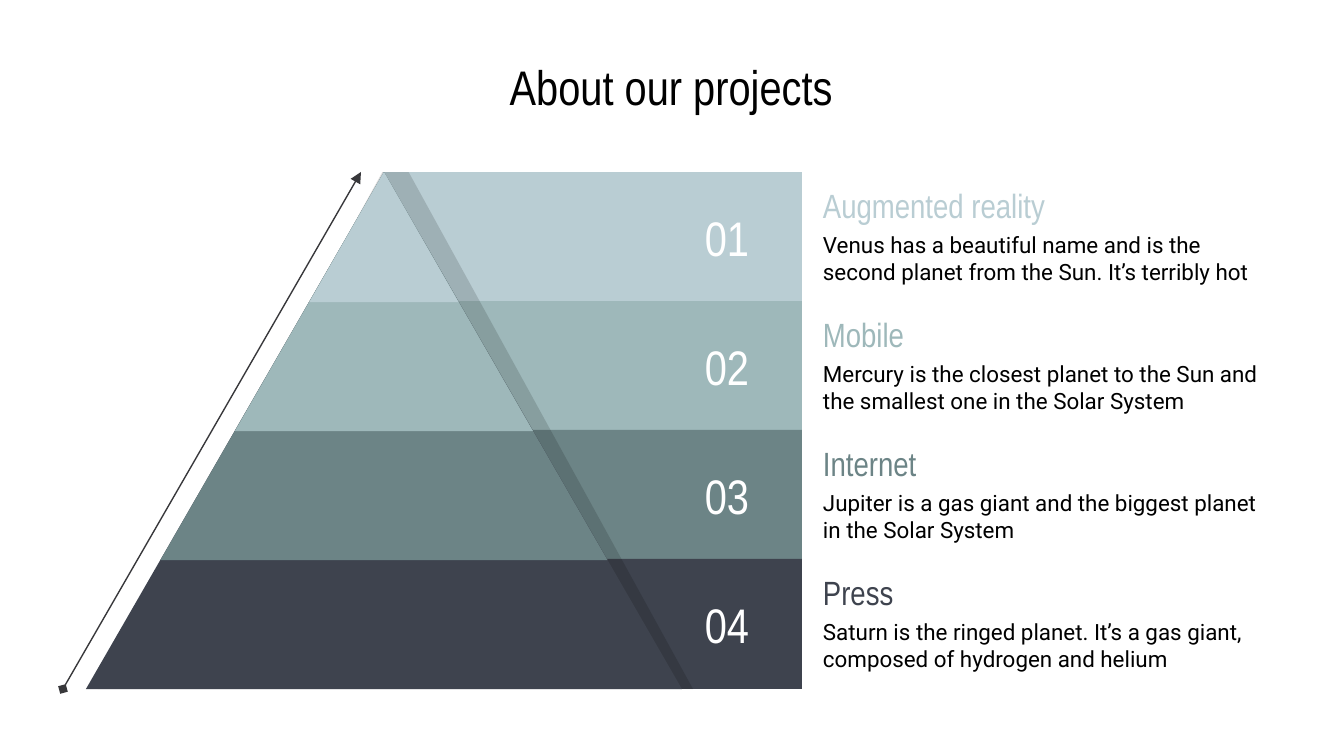
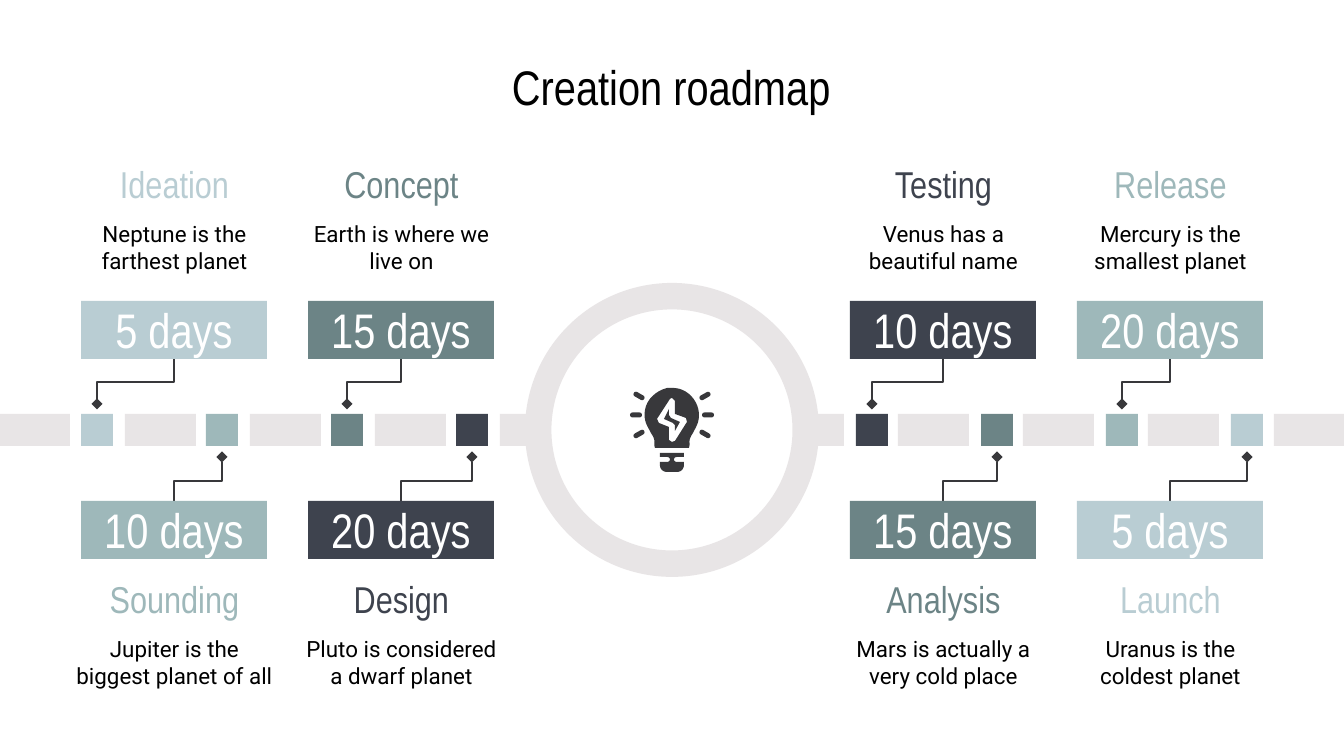
from lxml.etree import SubElement
from pptx import Presentation
from pptx.dml.color import RGBColor
from pptx.enum.shapes import MSO_CONNECTOR, MSO_SHAPE
from pptx.enum.text import MSO_ANCHOR, MSO_AUTO_SIZE, PP_ALIGN
from pptx.oxml.ns import qn
from pptx.util import Emu, Pt

SLIDE_WIDTH, SLIDE_HEIGHT = 1344, 756
EMU_PER_PX = 9144000 / SLIDE_WIDTH
INSET = 13

MIST = RGBColor(0xB9, 0xCD, 0xD3)
SAGE = RGBColor(0x9E, 0xB8, 0xBA)
TEAL = RGBColor(0x6C, 0x84, 0x86)
SLATE = RGBColor(0x3E, 0x43, 0x4E)
TRACK = RGBColor(0xE8, 0xE5, 0xE6)
INK = RGBColor(0x38, 0x38, 0x3B)
BLACK = RGBColor(0, 0, 0)
WHITE = RGBColor(0xFF, 0xFF, 0xFF)

HEADING_FONT, BODY_FONT = "Arial Narrow", "Roboto"

PROJECTS = [
    ("Augmented reality", MIST,
     "Venus has a beautiful name and is the\nsecond planet from the Sun. It’s terribly hot"),
    ("Mobile", SAGE,
     "Mercury is the closest planet to the Sun and the smallest one in the Solar System"),
    ("Internet", TEAL,
     "Jupiter is a gas giant and the biggest planet in the Solar System"),
    ("Press", SLATE,
     "Saturn is the ringed planet. It’s a gas giant, composed of hydrogen and helium"),
]

STAGES = [
    ("Ideation", "5 days", MIST, "Neptune is the farthest planet"),
    ("Sounding", "10 days", SAGE, "Jupiter is the biggest planet of all"),
    ("Concept", "15 days", TEAL, "Earth is where we live on"),
    ("Design", "20 days", SLATE, "Pluto is considered a dwarf planet"),
    ("Testing", "10 days", SLATE, "Venus has a beautiful name"),
    ("Analysis", "15 days", TEAL, "Mars is actually a very cold place"),
    ("Release", "20 days", SAGE, "Mercury is the smallest planet"),
    ("Launch", "5 days", MIST, "Uranus is the coldest planet"),
]
COLUMN_CENTERS = (174, 401, 943, 1170)
TRACK_TOP, TRACK_HEIGHT, TRACK_PITCH = 414, 32, 125

BULB_GLASS = [
    (672, 388), (667, 388),
    (656, 391, 647, 399, 645, 410), (643, 421, 648, 427, 651, 433),
    (657, 442, 653, 442, 655, 448), (689, 448),
    (691, 442, 687, 442, 693, 433), (696, 427, 699, 423, 699, 415),
    (699, 407, 695, 399, 689, 394), (684, 390, 679, 388, 672, 388),
]
BOLT_GAP = [
    (672, 398), (675, 401), (675, 414), (686, 418), (687, 422), (675, 441),
    (672, 442), (669, 440), (669, 427), (659, 423), (657, 419), (670, 399),
]
BOLT = [
    (669, 409), (664, 419), (673, 423), (675, 425),
    (675, 431), (680, 422), (671, 418), (669, 415),
]
BULB_BASE = [
    (660, 453), (660, 457), (667, 457), (671, 457, 671, 462, 667, 462),
    (660, 462), (660, 465), (660, 469, 663, 472, 667, 472), (677, 472),
    (681, 472, 684, 469, 684, 465), (684, 462), (677, 462),
    (673, 462, 673, 457, 677, 457), (684, 457), (684, 453),
]


def px(length):
    return Emu(round(length * EMU_PER_PX))


def write_text(shape, text, font, size, color, align=PP_ALIGN.CENTER,
               left_inset=INSET, bottom_inset=INSET):
    frame = shape.text_frame
    frame.word_wrap = True
    frame.auto_size = MSO_AUTO_SIZE.NONE
    frame.vertical_anchor = MSO_ANCHOR.MIDDLE
    frame.margin_left, frame.margin_bottom = px(left_inset), px(bottom_inset)
    frame.margin_right = frame.margin_top = px(INSET)
    para = frame.paragraphs[0]
    para.alignment = align
    for number, line in enumerate(text.split("\n")):
        if number:
            para.add_line_break()
        span = para.add_run()
        span.text = line
        span.font.name = font
        span.font.size = Pt(size)
        span.font.color.rgb = color


def add_text(page, left, top, width, height, *style, **layout):
    box = page.shapes.add_textbox(px(left), px(top), px(width), px(height))
    write_text(box, *style, **layout)


def paint(shape, color):
    shape.shadow.inherit = False
    shape.fill.solid()
    shape.fill.fore_color.rgb = color
    shape.line.fill.background()


def add_block(page, kind, left, top, width, height, color, adjustment=None):
    block = page.shapes.add_shape(kind, px(left), px(top), px(width), px(height))
    paint(block, color)
    if adjustment is not None:
        block.adjustments[0] = adjustment
    return block


def style_line(line_shape, **ends):
    line_shape.line.color.rgb = INK
    line_shape.line.width = Pt(0.75)
    outline = line_shape.element.spPr.find(qn("a:ln"))
    for end in ("headEnd", "tailEnd"):
        if end in ends:
            SubElement(outline, qn("a:" + end), type=ends[end])


def add_arrow(page, start, end):
    arrow = page.shapes.add_connector(
        MSO_CONNECTOR.STRAIGHT, *(px(value) for value in start + end))
    style_line(arrow, headEnd="diamond", tailEnd="triangle")
    SubElement(arrow.element.spPr, qn("a:effectLst"))


def add_elbow(page, start, end, bend_y):
    points = [(start[0], bend_y), (end[0], bend_y), end]
    builder = page.shapes.build_freeform(px(start[0]), px(start[1]))
    builder.add_line_segments([(px(x), px(y)) for x, y in points], close=False)
    elbow = builder.convert_to_shape()
    elbow.shadow.inherit = False
    elbow.fill.background()
    style_line(elbow, tailEnd="diamond")


def flatten(steps, pieces=8):
    points = []
    for step in steps:
        if len(step) == 2:
            points.append(step)
            continue
        corners = [points[-1], step[:2], step[2:4], step[4:]]
        for piece in range(1, pieces + 1):
            t = piece / pieces
            weights = ((1 - t) ** 3, 3 * t * (1 - t) ** 2, 3 * t * t * (1 - t), t ** 3)
            points.append(tuple(
                sum(weight * corner[axis] for weight, corner in zip(weights, corners))
                for axis in (0, 1)))
    return [(px(x), px(y)) for x, y in points]


def add_outline(page, color, *contours):
    builder = None
    for contour in contours:
        first, *rest = flatten(contour)
        if builder is None:
            builder = page.shapes.build_freeform(*first)
        else:
            builder.move_to(*first)
        builder.add_line_segments(rest, close=True)
    paint(builder.convert_to_shape(), color)


def add_page(deck, title):
    page = deck.slides.add_slide(deck.slide_layouts[5])
    box = page.shapes.title
    box.left, box.top, box.width, box.height = px(60), px(44), px(1223), px(85)
    write_text(box, title, HEADING_FONT, 26, BLACK)
    return page


def add_project(page, index, name, color, description):
    top = 172 + 129 * index
    band = add_block(page, MSO_SHAPE.RECTANGLE, 383, top, 419, 130, color)
    write_text(band, f"{index + 1:02}", HEADING_FONT, 26, WHITE, left_inset=282)
    add_text(page, 810, top + 8, 470, 50, name, HEADING_FONT, 18, color,
             align=PP_ALIGN.LEFT)
    add_text(page, 810, top + 58, 470, 56, description, BODY_FONT, 12, BLACK,
             align=PP_ALIGN.LEFT)


def add_pyramid(page):
    shade = add_block(page, MSO_SHAPE.TRAPEZOID, 98, 172, 595, 517, BLACK, 0.55)
    solid = shade.element.spPr.find(qn("a:solidFill"))
    SubElement(solid[0], qn("a:alpha"), val="14000")
    for level in range(len(PROJECTS), 0, -1):
        width = 149 * level
        add_block(page, MSO_SHAPE.ISOSCELES_TRIANGLE, 384 - width / 2, 172,
                  width, 129 * level + 1, PROJECTS[level - 1][1])


def add_track(page):
    segments = [(0, 70)] + [(TRACK_PITCH * step, 71) for step in (1, 2, 3)] + [(500, 32)]
    for left, width in segments:
        for side in (left, SLIDE_WIDTH - left - width):
            add_block(page, MSO_SHAPE.RECTANGLE, side, TRACK_TOP, width,
                      TRACK_HEIGHT, TRACK)
    add_block(page, MSO_SHAPE.DONUT, 525, 283, 294, 294, TRACK, 0.09)


def add_bulb(page):
    for offset_x, offset_y, angle in ((36, 0, 0), (33, -19, -30), (33, 19, 30)):
        for side in (-1, 1):
            ray = add_block(page, MSO_SHAPE.ROUNDED_RECTANGLE,
                            672 + side * offset_x - 6, 415 + offset_y - 2.5,
                            12, 5, INK, 0.5)
            ray.rotation = side * angle
    add_outline(page, INK, BULB_GLASS, BOLT_GAP)
    add_outline(page, INK, BOLT)
    add_outline(page, INK, BULB_BASE)


def add_stage(page, index, name, duration, color, description):
    center = COLUMN_CENTERS[index // 2]
    marker = 97 + TRACK_PITCH * index + (275 if index >= 4 else 0)
    above = index % 2 == 0
    heading_top, box_top = (159, 301) if above else (574, 501)
    add_block(page, MSO_SHAPE.RECTANGLE, marker - 16, TRACK_TOP, 32,
              TRACK_HEIGHT, color)
    if above:
        add_elbow(page, (center, 359), (marker, 404), 382)
    else:
        add_elbow(page, (center, 502), (marker, 457), 481)
    add_text(page, center - 113, heading_top, 227, 50, name, HEADING_FONT, 20, color)
    add_text(page, center - 113, heading_top + 63, 227, 50, description,
             BODY_FONT, 12, BLACK)
    box = add_block(page, MSO_SHAPE.RECTANGLE, center - 93, box_top, 186, 58, color)
    write_text(box, duration, HEADING_FONT, 26, WHITE, bottom_inset=15)


def main():
    deck = Presentation()
    deck.slide_width, deck.slide_height = px(SLIDE_WIDTH), px(SLIDE_HEIGHT)

    projects_page = add_page(deck, "About our projects")
    for index, project in enumerate(PROJECTS):
        add_project(projects_page, index, *project)
    add_pyramid(projects_page)
    add_arrow(projects_page, (63, 689), (361, 172))

    roadmap_page = add_page(deck, "Creation roadmap")
    add_track(roadmap_page)
    add_bulb(roadmap_page)
    for index, stage in enumerate(STAGES):
        add_stage(roadmap_page, index, *stage)

    deck.save("out.pptx")


if __name__ == "__main__":
    main()
